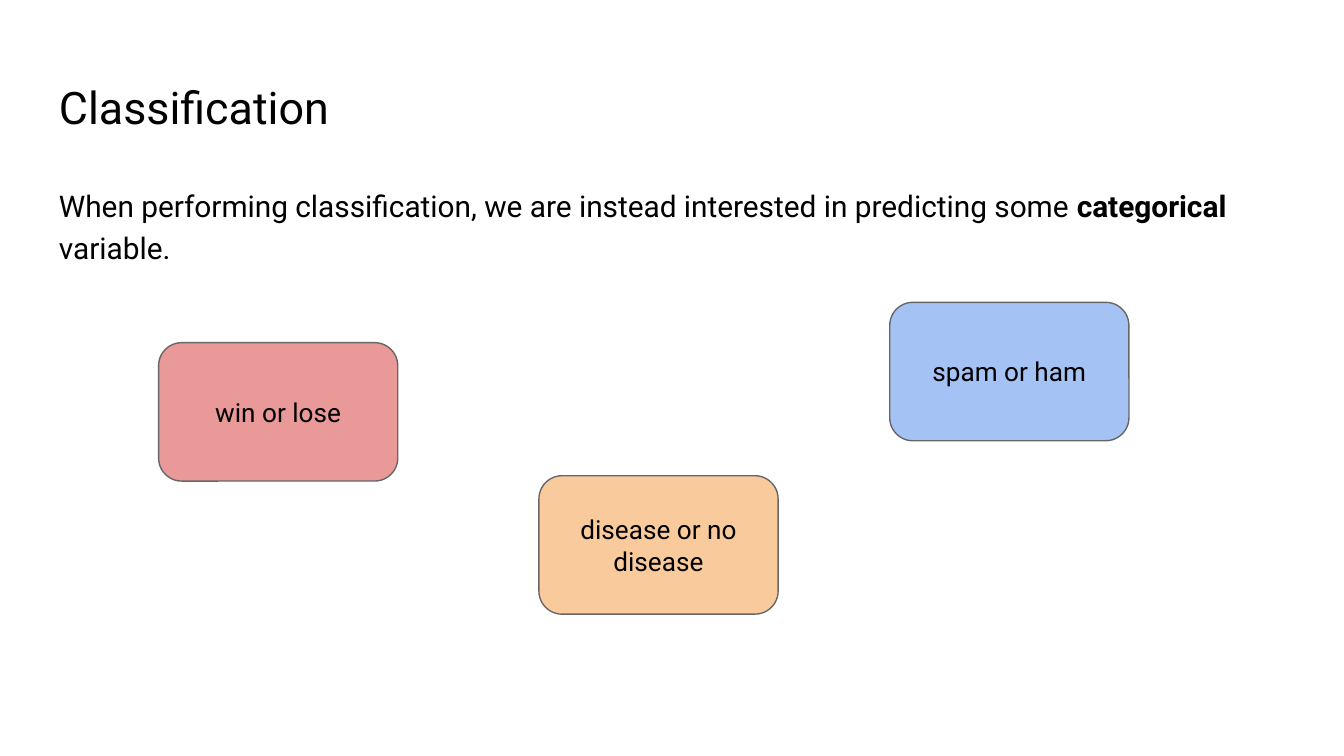
from pptx import Presentation
from pptx.dml.color import RGBColor
from pptx.enum.shapes import MSO_SHAPE
from pptx.enum.text import MSO_ANCHOR, PP_ALIGN
from pptx.util import Inches, Pt

COLORS = {
    "text": "000000",
    "outline": "666666",
    "red": "EA9999",
    "orange": "F9CB9C",
    "blue": "A4C2F4",
}
FONT = "Roboto"
MARGIN = 0.34
CONTENT_WIDTH = 9.32
CARD_WIDTH, CARD_HEIGHT = 1.78, 1.03
EXAMPLES = [
    ("win or lose", 1.18, 2.55, "red"),
    ("disease or no disease", 4.01, 3.54, "orange"),
    ("spam or ham", 6.62, 2.25, "blue"),
]


def color(name):
    """Return the named palette colour."""
    return RGBColor.from_string(COLORS[name])


def prepare_frame(frame, anchor):
    """Set wrapping, even insets and the vertical anchor."""
    frame.word_wrap = True
    frame.vertical_anchor = anchor
    frame.margin_left = frame.margin_right = Inches(0.1)
    frame.margin_top = frame.margin_bottom = Inches(0.1)


def style_paragraph(paragraph, size):
    """Apply the slide font to a paragraph."""
    paragraph.font.name = FONT
    paragraph.font.size = Pt(size)
    paragraph.font.color.rgb = color("text")


def add_text(slide, top, height, size, runs):
    """Add a full-width text box of (text, bold) runs and return its paragraph."""
    box = slide.shapes.add_textbox(
        Inches(MARGIN), Inches(top), Inches(CONTENT_WIDTH), Inches(height)
    )
    prepare_frame(box.text_frame, MSO_ANCHOR.TOP)
    paragraph = box.text_frame.paragraphs[0]
    for text, bold in runs:
        run = paragraph.add_run()
        run.text = text
        if bold:
            run.font.bold = True
    style_paragraph(paragraph, size)
    return paragraph


def add_example(slide, label, left, top, fill):
    """Add a rounded card naming one classification task."""
    card = slide.shapes.add_shape(
        MSO_SHAPE.ROUNDED_RECTANGLE,
        Inches(left), Inches(top), Inches(CARD_WIDTH), Inches(CARD_HEIGHT),
    )
    card.shadow.inherit = False
    card.fill.solid()
    card.fill.fore_color.rgb = color(fill)
    card.line.color.rgb = color("outline")
    card.line.width = Pt(0.75)
    prepare_frame(card.text_frame, MSO_ANCHOR.MIDDLE)
    paragraph = card.text_frame.paragraphs[0]
    paragraph.text = label
    paragraph.alignment = PP_ALIGN.CENTER
    style_paragraph(paragraph, 14)


def main():
    """Build the classification slide."""
    deck = Presentation()
    deck.slide_width = Inches(10)
    deck.slide_height = Inches(10 * 9 / 16)
    slide = deck.slides.add_slide(deck.slide_layouts[6])
    add_text(slide, 0.49, 0.63, 24, [("Classification", False)])
    statement = add_text(slide, 1.26, 0.55, 16, [
        ("When performing classification, we are instead interested in predicting some ", False),
        ("categorical ", True),
        ("variable.", False),
    ])
    statement.line_spacing = 1.15
    statement.space_after = Pt(8)
    for example in EXAMPLES:
        add_example(slide, *example)
    deck.save("out.pptx")


if __name__ == "__main__":
    main()
